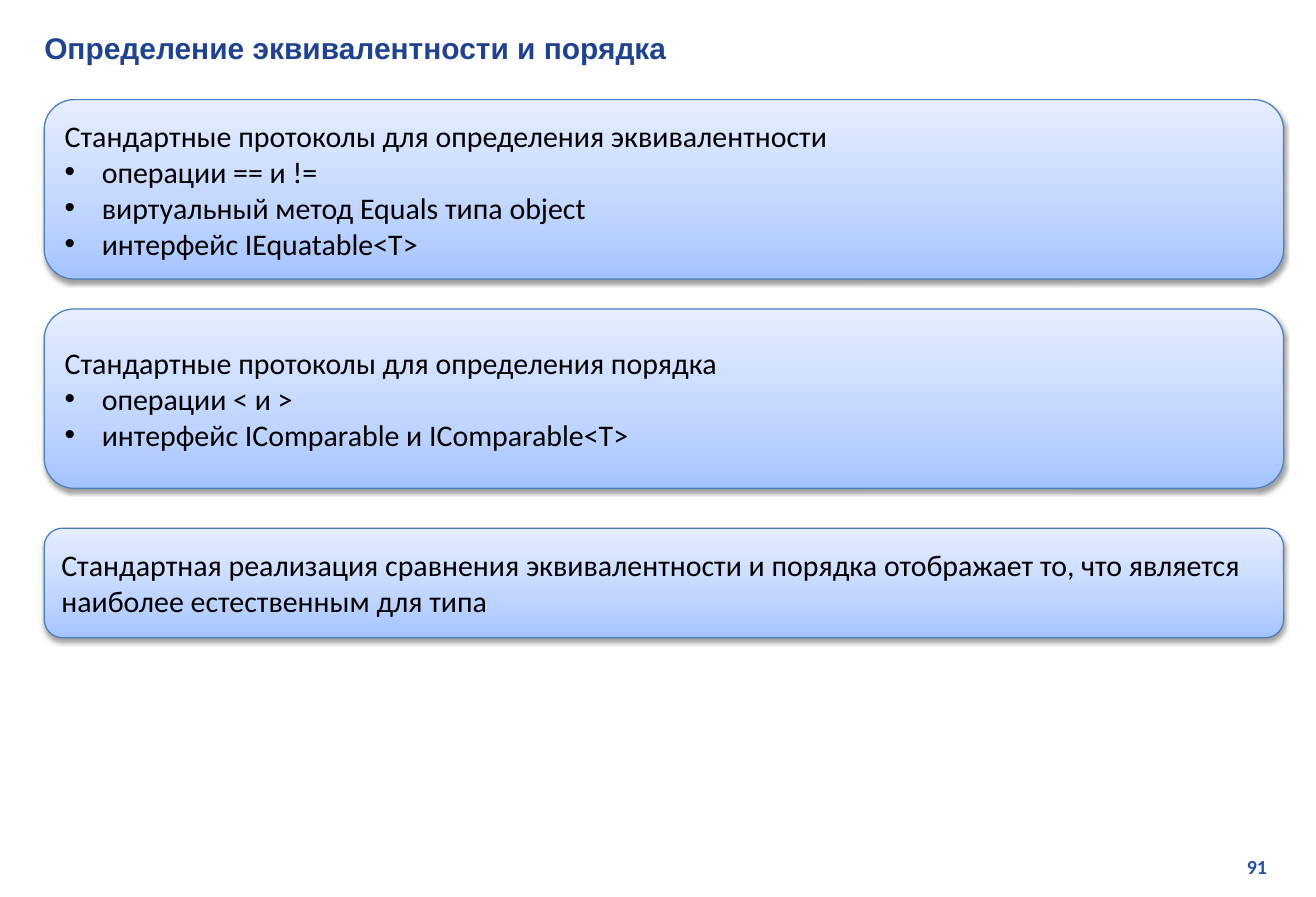
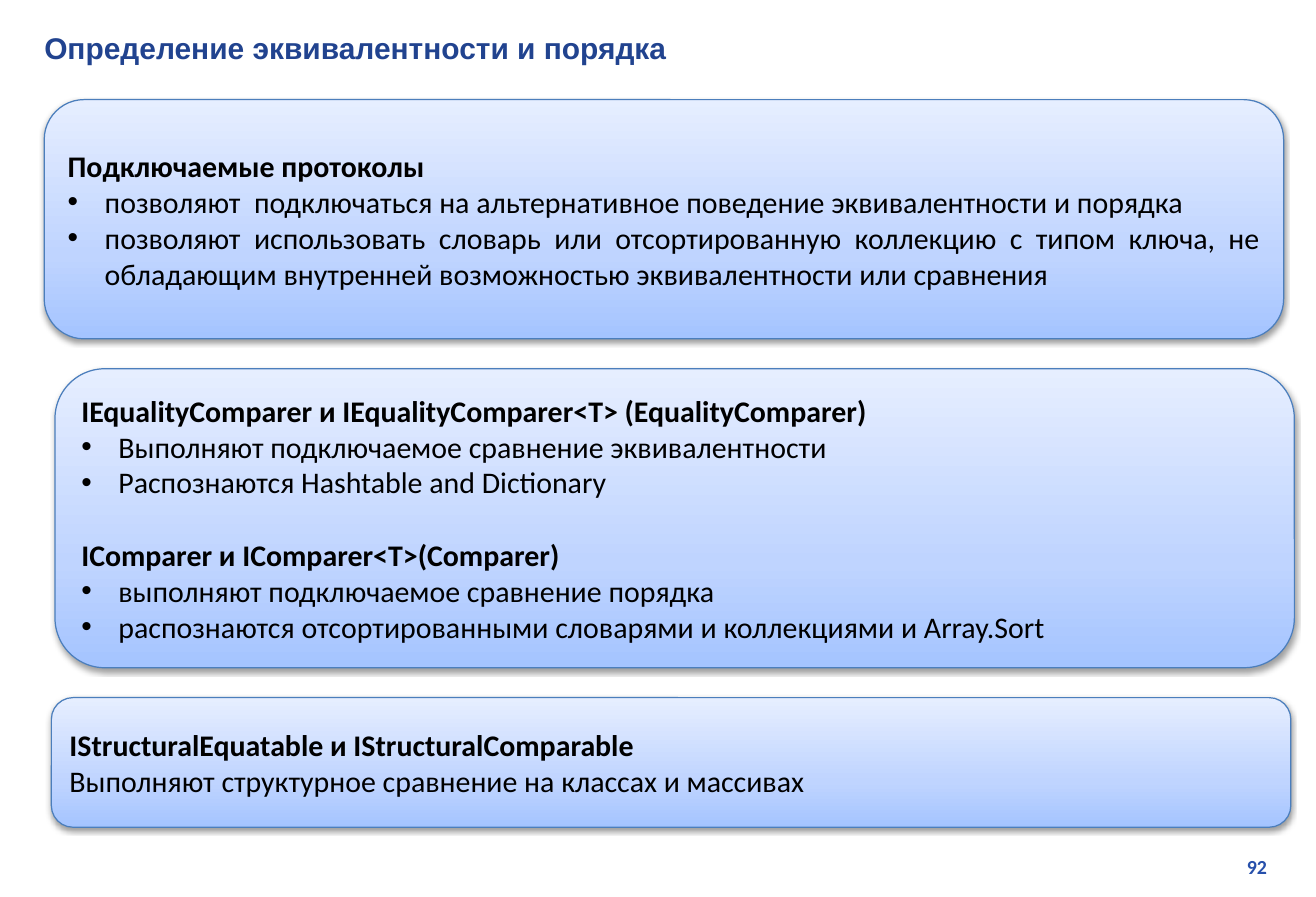
from pptx import Presentation, util as u
from pptx.dml.color import RGBColor
from pptx.enum import shapes, text
from pptx.oxml import parse_xml
from pptx.oxml.ns import nsdecls, qn
from copy import deepcopy

TITLE_BLUE = RGBColor(0x21, 0x43, 0x8F)
NUMBER_BLUE = RGBColor(0x27, 0x50, 0xAB)
OUTLINE = RGBColor(0x4B, 0x7E, 0xBC)
BLACK = RGBColor(0, 0, 0)
GRADIENT = [(0, RGBColor(0xA4, 0xC4, 0xFF)),
            (0.35, RGBColor(0xBF, 0xD4, 0xFF)),
            (1, RGBColor(0xE6, 0xEE, 0xFF))]
SHADOW = (f'<a:outerShdw {nsdecls("a")} blurRad="{u.Pt(3.1)}" dist="{u.Pt(1.6)}" '
          'dir="5400000" rotWithShape="0"><a:srgbClr val="000000">'
          '<a:alpha val="38000"/></a:srgbClr></a:outerShdw>')

TITLE = "Определение эквивалентности и порядка"
ROW = u.Inches(1) // 12  # the slide is 90 rows high
PANEL_WIDTH = u.Inches(10.36)
INDENT = u.Inches(0.31)
LINE = u.Pt(22)
LEFT, JUSTIFY = text.PP_ALIGN.LEFT, text.PP_ALIGN.JUSTIFY

# Slide number, then panels: left in inches, top and height in rows, bullet
# alignment, lines. "•" marks a bullet, "#" a bold heading.
SLIDES = [
    (91, [
        (0.37, 10, 18, LEFT, [
            "Стандартные протоколы для определения эквивалентности",
            "•операции == и !=",
            "•виртуальный метод Equals типа object",
            "•интерфейс IEquatable<T>"]),
        (0.37, 31, 18, LEFT, [
            "Стандартные протоколы для определения порядка",
            "•операции < и >",
            "•интерфейс IComparable и IComparable<T>"]),
        (0.37, 53, 11, LEFT, [
            "Стандартная реализация сравнения эквивалентности и порядка отображает то, "
            "что является наиболее естественным для типа"]),
    ]),
    (92, [
        (0.37, 10, 24, JUSTIFY, [
            "#Подключаемые протоколы",
            "•позволяют  подключаться на альтернативное поведение эквивалентности и порядка",
            "•позволяют использовать словарь или отсортированную коллекцию с типом ключа, "
            "не обладающим внутренней возможностью эквивалентности или сравнения"]),
        (0.46, 37, 30, LEFT, [
            "#IEqualityComparer и IEqualityComparer<T> (EqualityComparer)",
            "•Выполняют подключаемое сравнение эквивалентности",
            "•Распознаются Hashtable and Dictionary",
            "#IComparer и IComparer<T>(Comparer)",
            "•выполняют подключаемое сравнение порядка",
            "•распознаются отсортированными словарями и коллекциями и Array.Sort"]),
        (0.43, 70, 13, LEFT, [
            "#IStructuralEquatable и IStructuralComparable",
            "Выполняют структурное сравнение на классах и массивах"]),
    ]),
]


def set_font(paragraph, name, size, color, bold):
    font = paragraph.font
    font.name, font.size, font.bold = name, u.Pt(size), bold
    font.color.rgb = color


def style_panel(panel):
    panel.fill.gradient()
    panel.fill.gradient_angle = 90
    stop_list = panel._element.spPr.find(".//" + qn("a:gsLst"))
    stop_list.append(deepcopy(stop_list[0]))
    for stop, (position, color) in zip(panel.fill.gradient_stops, GRADIENT):
        stop.position, stop.color.rgb = position, color
    panel.line.color.rgb = OUTLINE
    panel.line.width = u.Pt(0.75)
    panel.shadow.inherit = False
    panel._element.spPr.find(qn("a:effectLst")).append(parse_xml(SHADOW))


presentation = Presentation()
presentation.slide_width, presentation.slide_height = u.Inches(11), u.Inches(7.5)

for number, panels in SLIDES:
    slide = presentation.slides.add_slide(presentation.slide_layouts[5])

    # Title
    title = slide.shapes.title
    title.left, title.top = u.Inches(0.27), u.Inches(0.2)
    title.width, title.height = u.Inches(10.5), u.Inches(0.4)
    frame = title.text_frame
    frame.text = TITLE
    frame.auto_size = text.MSO_AUTO_SIZE.NONE
    frame.vertical_anchor = text.MSO_ANCHOR.MIDDLE
    frame.paragraphs[0].alignment = LEFT
    set_font(frame.paragraphs[0], "Arial", 18, TITLE_BLUE, True)

    # Slide number
    box = slide.shapes.add_textbox(u.Inches(8.36), u.Inches(7.1), u.Inches(2.33), u.Inches(0.3))
    box.text_frame.word_wrap = True
    paragraph = box.text_frame.paragraphs[0]
    paragraph.text = str(number)
    paragraph.alignment = text.PP_ALIGN.RIGHT
    set_font(paragraph, "Calibri", 12, NUMBER_BLUE, True)

    # Panels
    for left, top, height, bullet_alignment, lines in panels:
        panel = slide.shapes.add_shape(shapes.MSO_SHAPE.ROUNDED_RECTANGLE, u.Inches(left),
                                       top * ROW, PANEL_WIDTH, height * ROW)
        style_panel(panel)
        frame = panel.text_frame
        frame.word_wrap = True
        frame.vertical_anchor = text.MSO_ANCHOR.MIDDLE
        for index, line in enumerate(lines):
            paragraph = frame.add_paragraph() if index else frame.paragraphs[0]
            heading, bullet = line.startswith("#"), line.startswith("•")
            paragraph.text = line.lstrip("#•")
            paragraph.alignment = bullet_alignment if bullet else LEFT
            if heading and index:
                paragraph.space_before = LINE
            if bullet:
                properties = paragraph._p.get_or_add_pPr()
                properties.set("marL", str(INDENT))
                properties.set("indent", str(-INDENT))
                properties.append(parse_xml(f'<a:buFont {nsdecls("a")} typeface="Arial"/>'))
                properties.append(parse_xml(f'<a:buChar {nsdecls("a")} char="•"/>'))
            set_font(paragraph, "Calibri", 18, BLACK, heading)

presentation.save("out.pptx")
